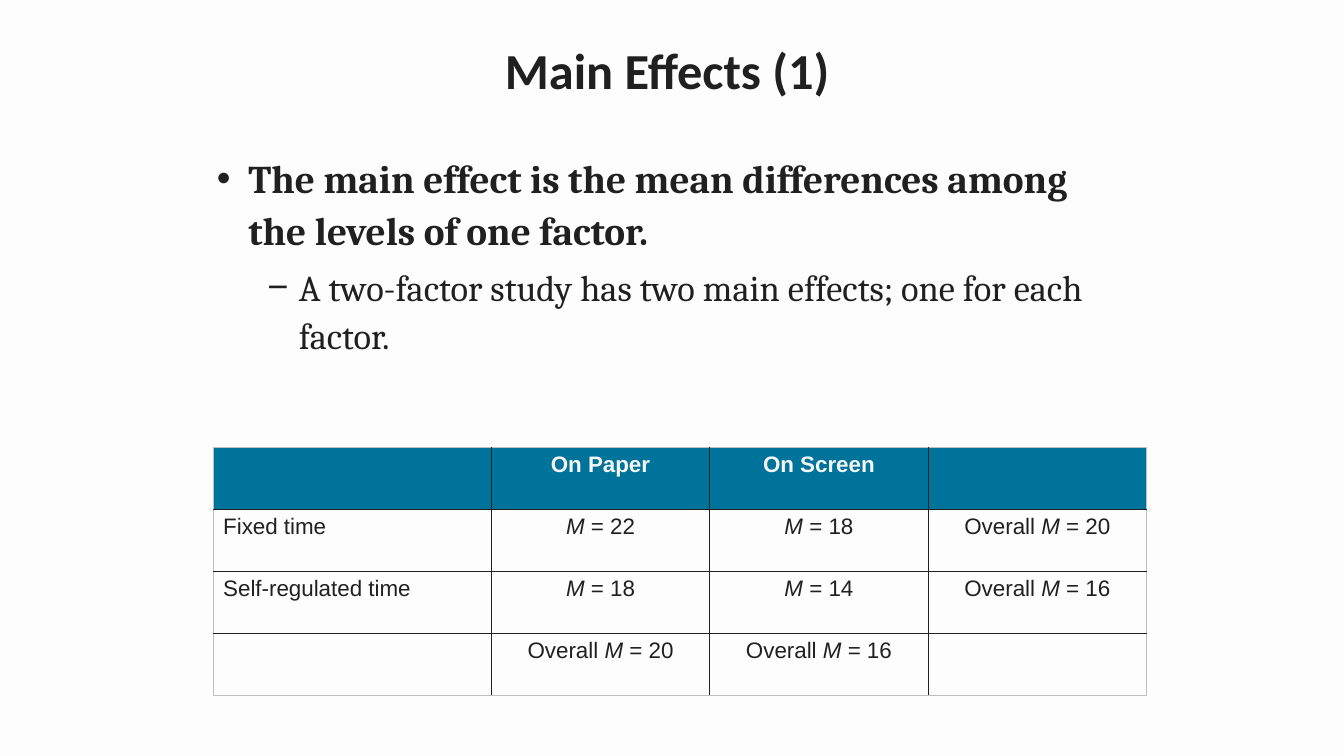
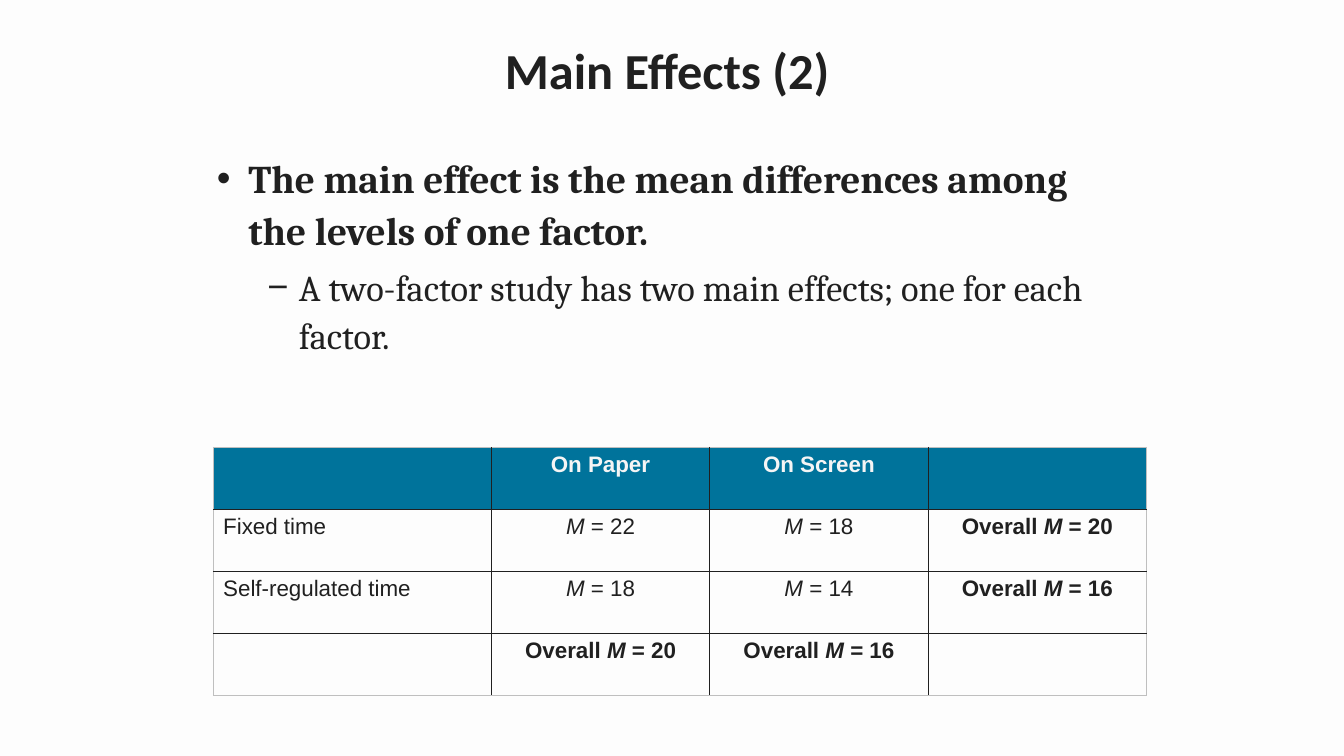
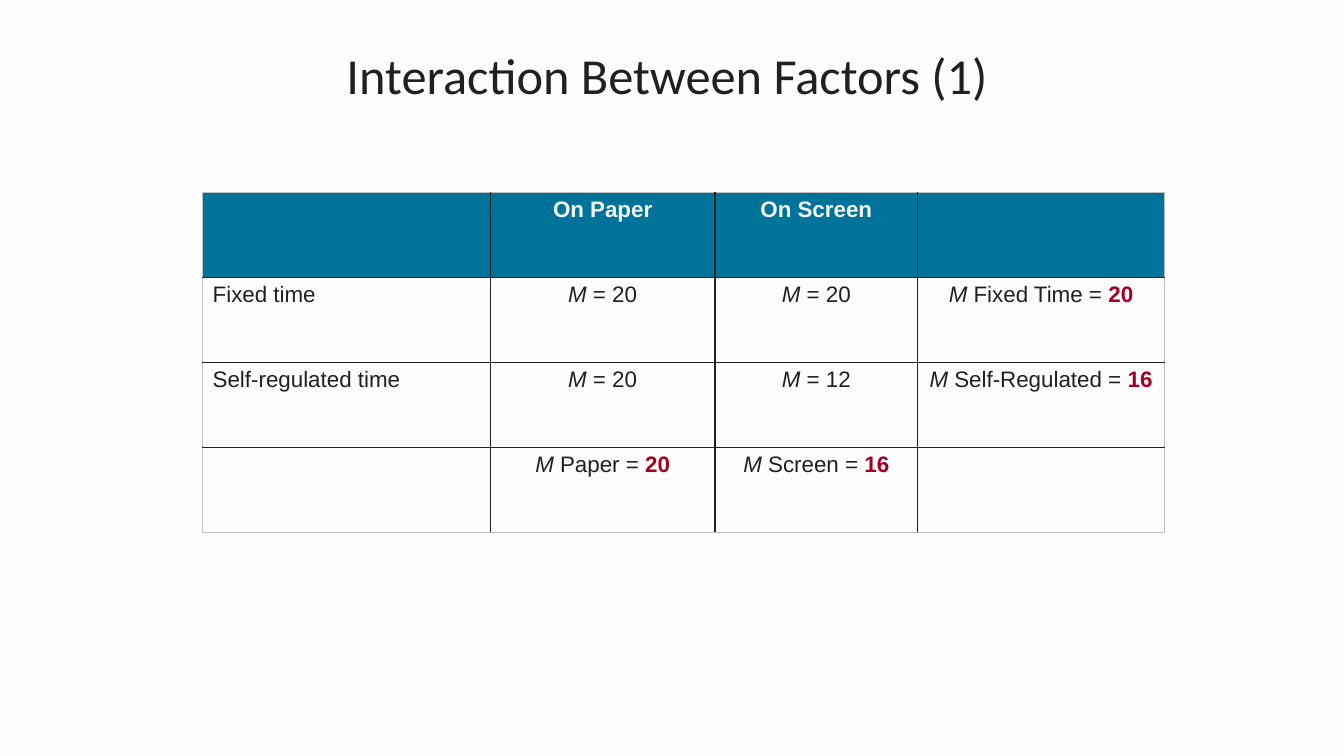
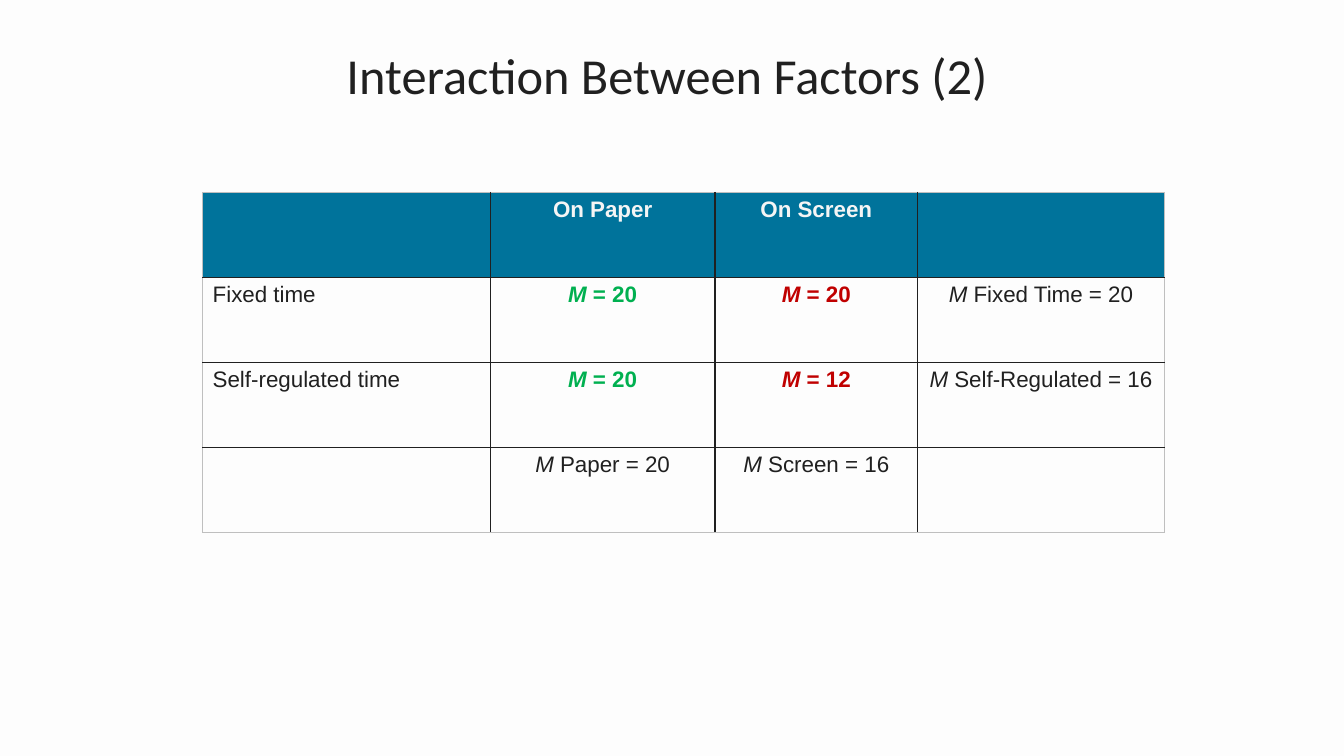
from lxml import etree
from pptx import Presentation
from pptx.dml.color import RGBColor
from pptx.enum import text as t
from pptx.oxml import ns
from pptx.util import Pt

PX = 9525
COLORS = {
    "paper": "FDFDFD",
    "ink": "202020",
    "header": "00739B",
    "header_text": "F5F5F5",
    "frame": "BFBFBF",
    "total": "A50021",
    "green": "00B050",
    "red": "C00000",
}
TITLE_AND_BODY, TITLE_ONLY = 1, 5


def rgb(name):
    return RGBColor.from_string(COLORS[name])


def add_text(paragraph, content, font="Arial", size=16, color="ink", bold=False, italic=False):
    run = paragraph.add_run()
    run.text = content
    run.font.name = font
    run.font.size = Pt(size)
    run.font.color.rgb = rgb(color)
    run.font.bold = bold
    run.font.italic = italic


def mean(rest, lead="", total="", **style):
    parts = [(lead, style), ("M", {**style, "italic": True}), (rest, style),
             (total, {"color": "total", "bold": True})]
    return [(content, look) for content, look in parts if content]


def overall(value, **style):
    return mean(f" = {value}", lead="Overall ", **style)


class Deck:
    def __init__(self):
        self.prs = Presentation()
        self.prs.slide_width, self.prs.slide_height = 1280 * PX, 720 * PX
        backdrop = self.prs.slide_master.background.fill
        backdrop.solid()
        backdrop.fore_color.rgb = rgb("paper")
        self.slide = None

    def new_slide(self, layout):
        self.slide = self.prs.slides.add_slide(self.prs.slide_layouts[layout])

    def place(self, holder, left, top, width, height):
        holder.left, holder.top = left * PX, top * PX
        holder.width, holder.height = width * PX, height * PX
        holder.text_frame.word_wrap = True
        holder.text_frame.auto_size = t.MSO_AUTO_SIZE.NONE
        return holder.text_frame

    def title(self, content, top, bold=False):
        frame = self.place(self.slide.shapes.title, 214, top, 843, 105)
        frame.vertical_anchor = t.MSO_ANCHOR.MIDDLE
        heading = frame.paragraphs[0]
        heading.alignment = t.PP_ALIGN.CENTER
        heading.line_spacing = 0.9
        add_text(heading, content, font="Calibri", size=36, bold=bold)

    def body(self, points):
        frame = self.place(self.slide.placeholders[1], 197, 138, 882, 272)
        looks = [("•", 30, 28, True), ("−", 78, 26, False)]
        for index, (level, content) in enumerate(points):
            point = frame.add_paragraph() if index else frame.paragraphs[0]
            mark, indent, size, bold = looks[level]
            point.level = level
            point.line_spacing = 1.1
            point.space_before = Pt(5 if index else 0)
            props = point._p.get_or_add_pPr()
            props.set("marL", str(indent * PX))
            props.set("indent", str(-30 * PX))
            etree.SubElement(props, ns.qn("a:buFont"), typeface="Arial")
            etree.SubElement(props, ns.qn("a:buChar"), char=mark)
            add_text(point, content, font="Cambria", size=size, bold=bold)

    def borders(self, cell, outer):
        props = cell._tc.get_or_add_tcPr()
        for index, side in enumerate("LRTB"):
            color, width = ("frame", 0.5) if side in outer else ("ink", 1)
            line = etree.Element(ns.qn(f"a:ln{side}"), w=str(Pt(width)))
            fill = etree.SubElement(line, ns.qn("a:solidFill"))
            etree.SubElement(fill, ns.qn("a:srgbClr"), val=COLORS[color])
            props.insert(index, line)

    def table(self, left, top, widths, row_height, rows):
        last_row, last_column = len(rows) - 1, len(widths) - 1
        grid = self.slide.shapes.add_table(
            len(rows), len(widths), left * PX, top * PX,
            sum(widths) * PX, row_height * len(rows) * PX).table
        grid.horz_banding = False
        for column, width in zip(grid.columns, widths):
            column.width = width * PX
        for r, row in enumerate(rows):
            grid.rows[r].height = row_height * PX
            for c, runs in enumerate(row):
                cell = grid.cell(r, c)
                if r == 0:
                    cell.fill.solid()
                    cell.fill.fore_color.rgb = rgb("header")
                else:
                    cell.fill.background()
                edges = {"L": c == 0, "R": c == last_column, "T": r == 0, "B": r == last_row}
                self.borders(cell, [side for side, is_outer in edges.items() if is_outer])
                entry = cell.text_frame.paragraphs[0]
                entry.alignment = t.PP_ALIGN.CENTER if c else t.PP_ALIGN.LEFT
                for content, look in runs:
                    add_text(entry, content, **look)

    def study_table(self, left, top, widths, row_height, fixed, regulated, totals):
        head = {"color": "header_text", "bold": True}
        self.table(left, top, widths, row_height, [
            [[], [("On Paper", head)], [("On Screen", head)], []],
            [[("Fixed time", {})], *fixed],
            [[("Self-regulated time", {})], *regulated],
            [[], *totals, []],
        ])

    def main_effects(self, number, bold_totals):
        self.new_slide(TITLE_AND_BODY)
        self.title(f"Main Effects ({number})", 17, bold=True)
        self.body([
            (0, "The main effect is the mean differences among the levels of one factor."),
            (1, "A two-factor study has two main effects; one for each factor."),
        ])
        high, low = (overall(value, bold=bold_totals) for value in (20, 16))
        self.study_table(203, 426, [265, 208, 208, 208], 59,
                         [mean(" = 22"), mean(" = 18"), high],
                         [mean(" = 18"), mean(" = 14"), low],
                         [high, low])

    def interaction(self, number, paper, screen, mark_totals):
        self.new_slide(TITLE_ONLY)
        self.title(f"Interaction Between Factors ({number})", 22)

        def total(label, value):
            if mark_totals:
                return mean(f" {label} = ", total=value)
            return mean(f" {label} = {value}")

        self.study_table(193, 183, [274, 214, 193, 235], 81,
                         [mean(" = 20", **paper), mean(" = 20", **screen), total("Fixed Time", "20")],
                         [mean(" = 20", **paper), mean(" = 12", **screen), total("Self-Regulated", "16")],
                         [total("Paper", "20"), total("Screen", "16")])


def main():
    deck = Deck()
    deck.main_effects(1, bold_totals=False)
    deck.main_effects(2, bold_totals=True)
    deck.interaction(1, {}, {}, mark_totals=True)
    deck.interaction(2, {"color": "green", "bold": True}, {"color": "red", "bold": True},
                     mark_totals=False)
    deck.prs.save("out.pptx")


if __name__ == "__main__":
    main()
